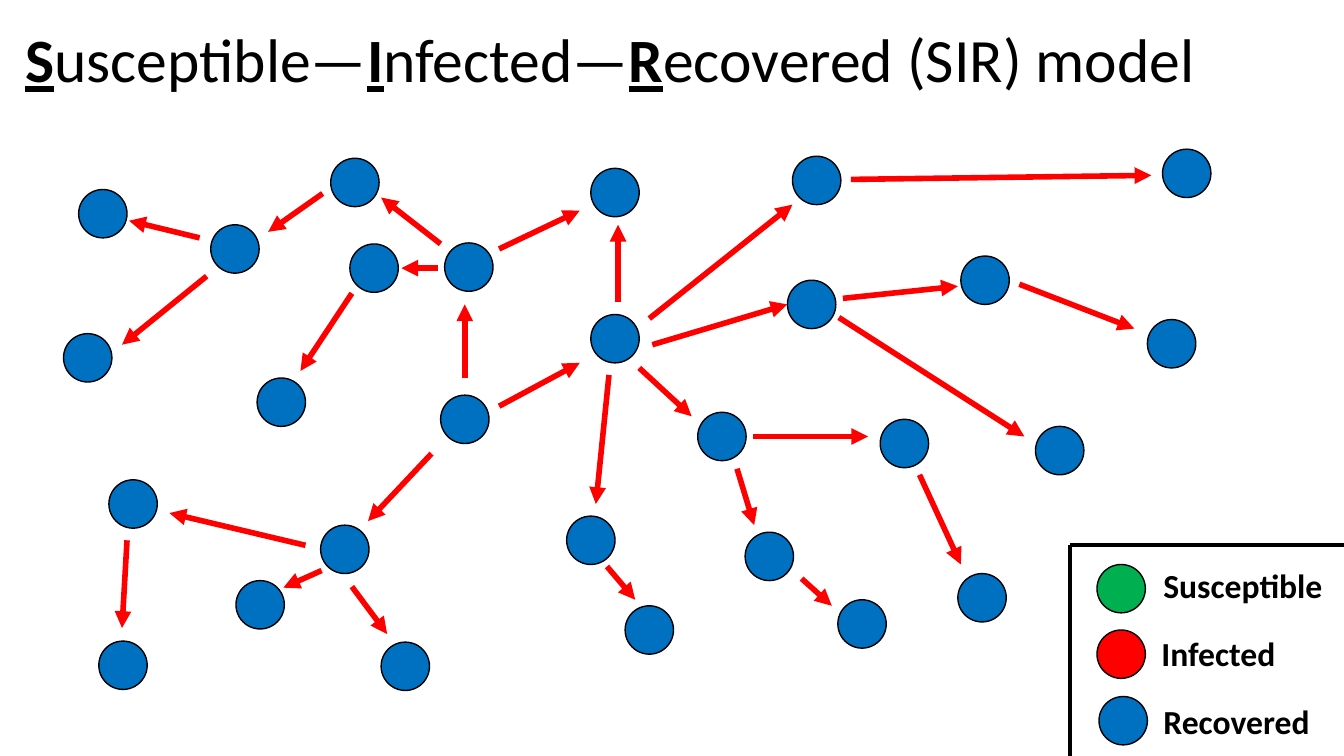
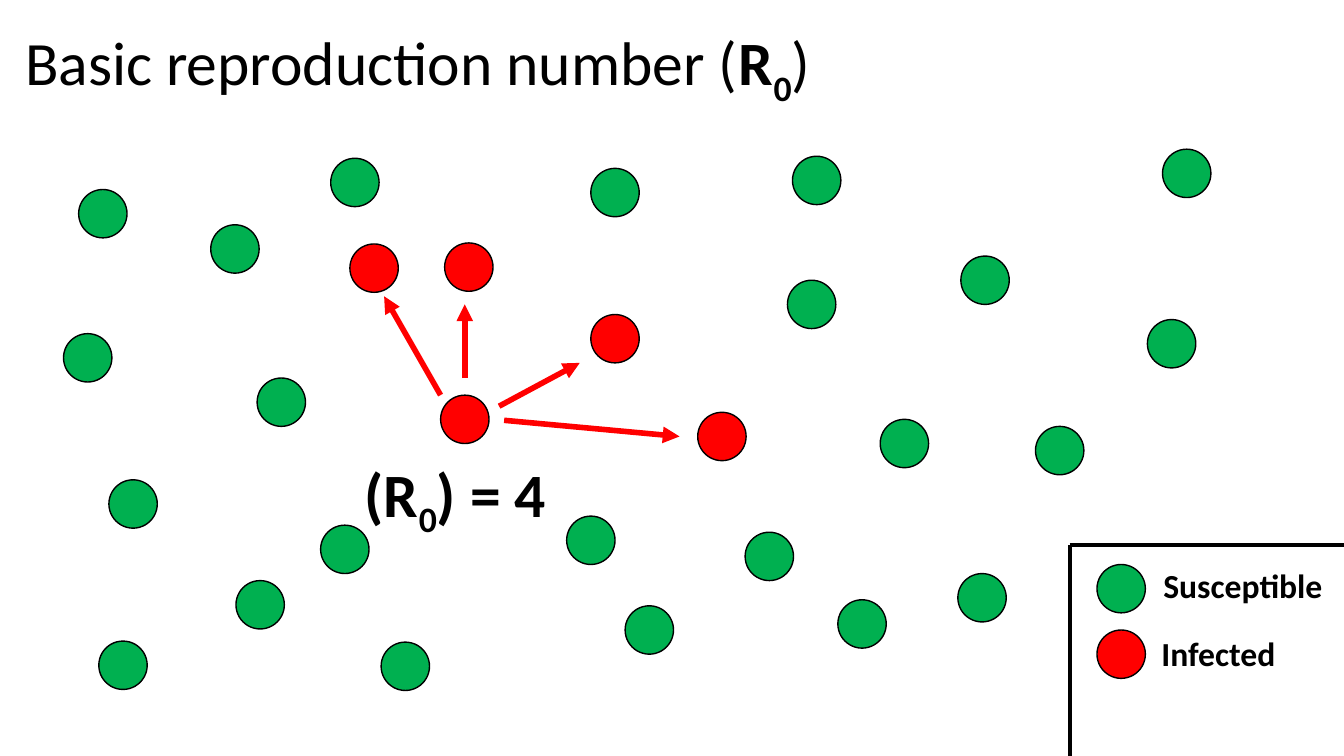
from lxml import etree
from pptx import Presentation
from pptx import util as u
from pptx.dml import color
from pptx.enum import shapes, text
from pptx.oxml import ns

GREEN, RED, BLUE, BLACK = "00B050", "FF0000", "0070C0", "000000"
BOLD = {"bold": True}
LEAD = {"bold": True, "underline": True}
SUB = {"bold": True, "base": -25000}


def rgb(code):
    return color.RGBColor.from_string(code)


def put(item, vals):
    for key, val in vals.items():
        setattr(item, key, val)


class Deck:
    font = {"name": "Calibri"}
    dot = 0.48

    def __init__(self):
        self.prs = Presentation()
        put(self.prs, {"slide_width": u.Inches(13.33),
                       "slide_height": u.Inches(7.5)})
        self.slide = None

    def fill_text(self, frame, runs, size):
        para = frame.paragraphs[0]
        para.alignment = text.PP_ALIGN.LEFT
        for words, style in runs:
            run = para.add_run()
            run.text = words
            look = dict(style)
            base = look.pop("base", None)
            put(run.font, {**self.font, "size": u.Pt(size), **look})
            run.font.color.rgb = rgb(BLACK)
            if base:
                run.font._element.set("baseline", str(base))
        return para

    def page(self, runs):
        self.slide = self.prs.slides.add_slide(self.prs.slide_layouts[5])
        title = self.slide.shapes.title
        put(title, {"left": u.Inches(0.15), "top": u.Inches(0.11),
                    "width": u.Inches(12.37), "height": u.Inches(1.03)})
        put(title.text_frame, {"vertical_anchor": text.MSO_ANCHOR.MIDDLE,
                               "auto_size": text.MSO_AUTO_SIZE.NONE})
        self.fill_text(title.text_frame, runs, 44).line_spacing = 0.9

    def label(self, x, y, w, h, runs, size, wrap=False):
        box = self.slide.shapes.add_textbox(*map(u.Inches, (x, y, w, h)))
        put(box.text_frame, {"word_wrap": wrap,
                             "auto_size": text.MSO_AUTO_SIZE.SHAPE_TO_FIT_TEXT})
        self.fill_text(box.text_frame, runs, size)

    def node(self, x, y, fill):
        ball = self.slide.shapes.add_shape(
            shapes.MSO_SHAPE.OVAL, *map(u.Inches, (x, y, self.dot, self.dot)))
        ball.shadow.inherit = False
        ball.fill.solid()
        ball.fill.fore_color.rgb = rgb(fill)
        ball.line.color.rgb = rgb(BLACK)
        ball.line.width = u.Pt(1)

    def line(self, ends, hue=BLACK, width=3, arrow=False):
        rule = self.slide.shapes.add_connector(
            shapes.MSO_CONNECTOR.STRAIGHT, *map(u.Inches, ends))
        rule.line.color.rgb = rgb(hue)
        rule.line.width = u.Pt(width)
        props = rule._element.spPr
        if arrow:
            tip = etree.SubElement(props.find(ns.qn("a:ln")), ns.qn("a:tailEnd"))
            tip.set("type", "triangle")
        etree.SubElement(props, ns.qn("a:effectLst"))

    def net(self, fill, links, sick=()):
        for spot in PEOPLE:
            self.node(*spot, RED if spot in sick else fill)
        for ends in links:
            self.line(ends, RED, 4, True)

    def legend(self, count):
        self.line((10.61, 5.41, 10.61, 7.5))
        self.line((10.61, 5.41, 13.33, 5.41))
        for name, fill, x, y, left, top, wide in STATES[:count]:
            self.node(x, y, fill)
            self.label(left, top, wide, 0.5, [(name, BOLD)], 24)


STATES = [
    ("Susceptible", GREEN, 10.88, 5.6, 11.44, 5.56, 1.8),
    ("Infected", RED, 10.88, 6.25, 11.42, 6.23, 1.35),
    ("Recovered", BLUE, 10.9, 6.91, 11.44, 6.9, 1.67),
]
SOURCE = (4.37, 3.92)
CAUGHT = [(6.92, 4.09), (3.47, 2.42), (4.41, 2.41), (5.86, 3.12)]
PEOPLE = [
    SOURCE, *CAUGHT,
    (0.78, 1.88), (0.63, 3.31), (2.09, 2.23), (2.55, 3.75), (3.18, 5.21),
    (7.39, 5.28), (6.2, 6.01), (8.31, 5.95), (5.62, 5.12), (11.38, 3.17),
    (3.78, 6.37), (3.28, 1.57), (5.86, 1.67), (7.81, 2.78), (11.53, 1.48),
    (2.34, 5.76), (1.08, 4.76), (0.98, 6.36), (8.73, 4.16), (7.86, 1.55),
    (9.53, 2.54), (10.27, 4.23), (9.5, 5.69),
]
SHARED = [(4.61, 3.75, 4.61, 3.02), (4.95, 4.03, 5.75, 3.6)]
SPREAD = SHARED + [
    (4.37, 2.42, 3.78, 1.96), (4.95, 2.47, 5.75, 2.09),
    (6.13, 3, 6.13, 2.23), (6.44, 3.16, 7.86, 2.03),
    (6.47, 3.42, 7.81, 3.02), (6.34, 3.65, 6.86, 4.13),
    (6.04, 3.72, 5.91, 5), (4.28, 4.5, 3.65, 5.17),
    (4.34, 2.66, 3.98, 2.66), (3.2, 1.92, 2.66, 2.3),
    (3.03, 5.41, 1.68, 5.09), (3.49, 2.91, 2.98, 3.68),
    (3.49, 5.82, 3.84, 6.29), (6.02, 5.62, 6.3, 5.95),
    (7.31, 4.65, 7.48, 5.21), (7.47, 4.33, 8.61, 4.33),
    (8.36, 2.96, 9.5, 2.84), (8.32, 3.15, 10.16, 4.33),
    (8.44, 1.78, 11.42, 1.74), (1.98, 2.36, 1.28, 2.19),
    (2.05, 2.74, 1.21, 3.42), (1.26, 5.36, 1.21, 6.23),
    (3.19, 5.66, 2.81, 5.83), (7.95, 5.74, 8.25, 6.01),
    (9.12, 4.71, 9.53, 5.6), (10.11, 2.82, 11.25, 3.26),
]
FIRST = SHARED + [(4.37, 3.92, 3.81, 2.94), (5, 4.17, 6.74, 4.33)]

deck = Deck()
deck.page([("S", LEAD), ("usceptible—", {}), ("I", LEAD), ("nfected—", {}),
           ("R", LEAD), ("ecovered (SIR) model", {})])
deck.net(BLUE, SPREAD)
deck.legend(3)

deck.page([("Basic reproduction number (", {}), ("R", BOLD), ("0", SUB), (")", {})])
deck.net(GREEN, FIRST, [SOURCE, *CAUGHT])
deck.label(3.52, 4.47, 2.09, 0.84,
           [("(R", BOLD), ("0", SUB), (") = 4", BOLD)], 44, True)
deck.legend(2)

deck.prs.save("out.pptx")
